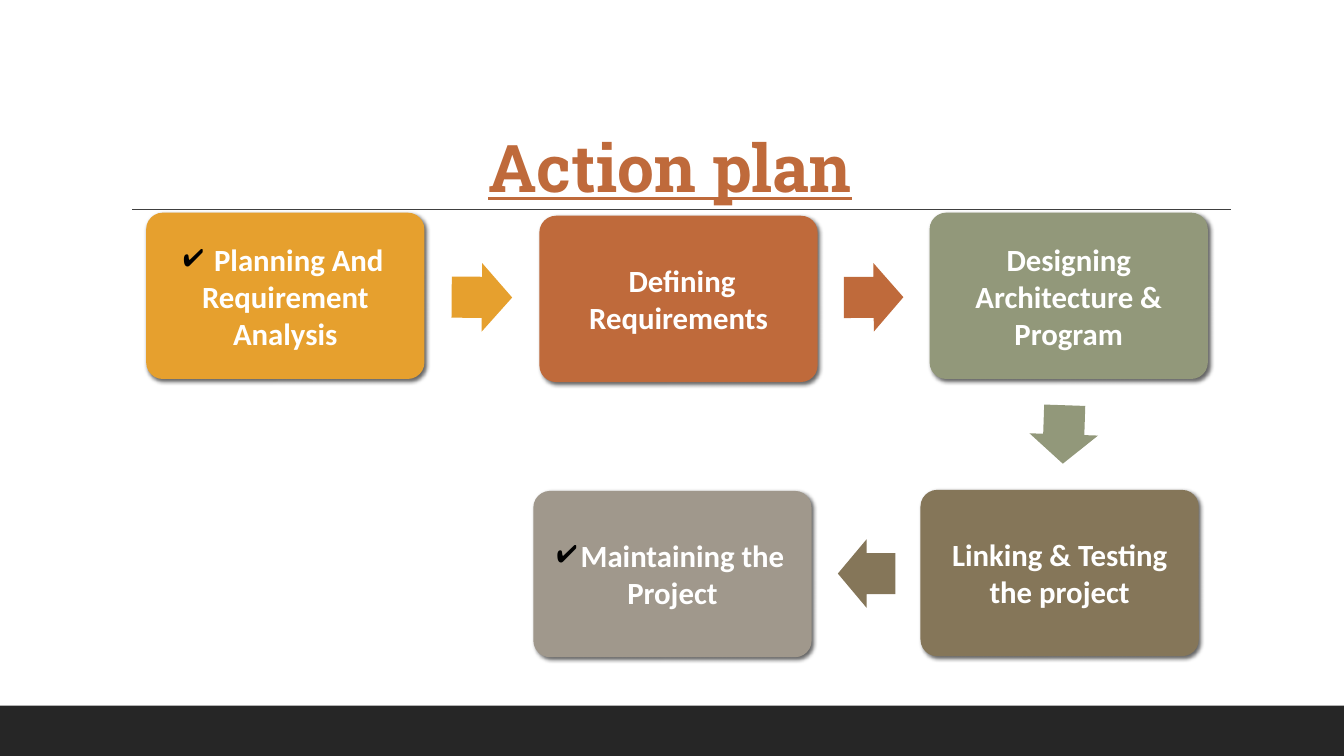
from typing import NamedTuple

from lxml.etree import SubElement
from pptx import Presentation
from pptx.dml.color import RGBColor
from pptx.enum.shapes import MSO_CONNECTOR as Connector, MSO_SHAPE as Preset
from pptx.enum.text import MSO_ANCHOR as Anchor, MSO_AUTO_SIZE as AutoSize, PP_ALIGN as Align
from pptx.oxml.ns import qn
from pptx.util import Inches, Pt

COLORS = {
    "gold": "E6A02E", "rust": "BF6A3B", "sage": "92987A", "olive": "857659",
    "stone": "A0988C", "white": "FFFFFF", "black": "000000",
    "rule": "404040", "footer": "262626",
}
BOX_WIDTH, BOX_HEIGHT = 2.76, 1.65
ARROW_HEIGHT = 0.68


class Step(NamedTuple):
    """A stage of the plan."""
    text: str
    color: str
    left: float
    top: float
    checked: bool = False


class Arrow(NamedTuple):
    """A block arrow between two stages."""
    color: str
    left: float
    top: float
    width: float
    rotation: float


STEPS = [
    Step(" Planning And Requirement Analysis", "gold", 1.45, 2.11, True),
    Step(" Defining Requirements", "rust", 5.35, 2.14),
    Step("Designing Architecture & Program", "sage", 9.22, 2.11),
    Step("Linking & Testing the project", "olive", 9.13, 4.86),
    Step("Maintaining the Project", "stone", 5.29, 4.87, True),
]
ARROWS = [
    Arrow("gold", 4.48, 2.61, 0.6, 0.4),
    Arrow("rust", 8.37, 2.61, 0.59, 359.7),
    Arrow("sage", 10.26, 3.97, 0.58, 91.9),
    Arrow("olive", 8.31, 5.35, 0.57, 180),
]


def rgb(name: str) -> RGBColor:
    """Look up a named colour."""
    return RGBColor.from_string(COLORS[name])


def set_attributes(target, values: dict) -> None:
    """Set every attribute in a dict of format values."""
    for name, value in values.items():
        setattr(target, name, value)


def write_text(shape, text: str, margin: float, anchor, font: dict, color: str):
    """Write one centred paragraph into a shape and return it."""
    frame = shape.text_frame
    frame.text = text
    set_attributes(frame, {
        "word_wrap": True, "auto_size": AutoSize.NONE, "vertical_anchor": anchor,
        **{f"margin_{side}": Inches(margin) for side in ("left", "right", "top", "bottom")},
    })
    paragraph = frame.paragraphs[0]
    paragraph.alignment = Align.CENTER
    run = paragraph.runs[0]
    set_attributes(run.font, {"bold": True, **font})
    run.font.color.rgb = rgb(color)
    return paragraph


def add_block(slide, preset, color: str, left: float, top: float, width: float, height: float):
    """Add a filled shape without outline or shadow."""
    shape = slide.shapes.add_shape(preset, *map(Inches, (left, top, width, height)))
    shape.fill.solid()
    shape.fill.fore_color.rgb = rgb(color)
    shape.line.fill.background()
    shape.shadow.inherit = False
    return shape


def add_shadow(shape) -> None:
    """Give a shape a soft shadow to the lower right."""
    effects = shape.element.spPr.find(qn("a:effectLst"))
    shadow = SubElement(effects, qn("a:outerShdw"), blurRad=str(Pt(3)), dist=str(Pt(2)),
                        dir=str(45 * 60000), algn="ctr", rotWithShape="0")
    color = SubElement(shadow, qn("a:srgbClr"), val=COLORS["black"])
    SubElement(color, qn("a:alpha"), val="60000")


def add_check_bullet(paragraph) -> None:
    """Put a black check mark before a paragraph."""
    properties = paragraph._p.get_or_add_pPr()
    color = SubElement(properties, qn("a:buClr"))
    SubElement(color, qn("a:srgbClr"), val=COLORS["black"])
    SubElement(properties, qn("a:buChar"), char="✔")


def add_step(slide, step: Step) -> None:
    """Draw one stage box with its label."""
    box = add_block(slide, Preset.ROUNDED_RECTANGLE, step.color,
                    step.left, step.top, BOX_WIDTH, BOX_HEIGHT)
    box.adjustments[0] = 0.1
    add_shadow(box)
    paragraph = write_text(box, step.text, 0.04, Anchor.MIDDLE,
                           {"name": "Calibri", "size": Pt(22)}, "white")
    if step.checked:
        add_check_bullet(paragraph)


def add_arrow(slide, arrow: Arrow) -> None:
    """Draw one block arrow."""
    shape = add_block(slide, Preset.RIGHT_ARROW, arrow.color,
                      arrow.left, arrow.top, arrow.width, ARROW_HEIGHT)
    shape.adjustments[0] = 0.6
    shape.adjustments[1] = 0.5
    shape.rotation = arrow.rotation


def add_title(slide) -> None:
    """Place and format the title and the rule below it."""
    title = slide.shapes.title
    set_attributes(title, {"left": Inches(1.2), "top": Inches(1.18),
                           "width": Inches(10.89), "height": Inches(0.92)})
    paragraph = write_text(title, "Action plan", 0.05, Anchor.BOTTOM,
                           {"name": "Roboto Slab", "size": Pt(47), "underline": True}, "rust")
    paragraph.line_spacing = 0.9
    rule = slide.shapes.add_connector(Connector.STRAIGHT, *map(Inches, (1.31, 2.08, 12.21, 2.08)))
    rule.line.color.rgb = rgb("rule")
    rule.line.width = Pt(1)
    SubElement(rule.element.spPr, qn("a:effectLst"))


def main() -> None:
    """Build the slide and save it."""
    presentation = Presentation()
    set_attributes(presentation, {"slide_width": Inches(13.33), "slide_height": Inches(7.5)})
    slide = presentation.slides.add_slide(presentation.slide_layouts[5])
    add_block(slide, Preset.RECTANGLE, "footer", 0, 7, 13.33, 0.5)
    add_title(slide)
    for step in STEPS:
        add_step(slide, step)
    for arrow in ARROWS:
        add_arrow(slide, arrow)
    presentation.save("out.pptx")


if __name__ == "__main__":
    main()
